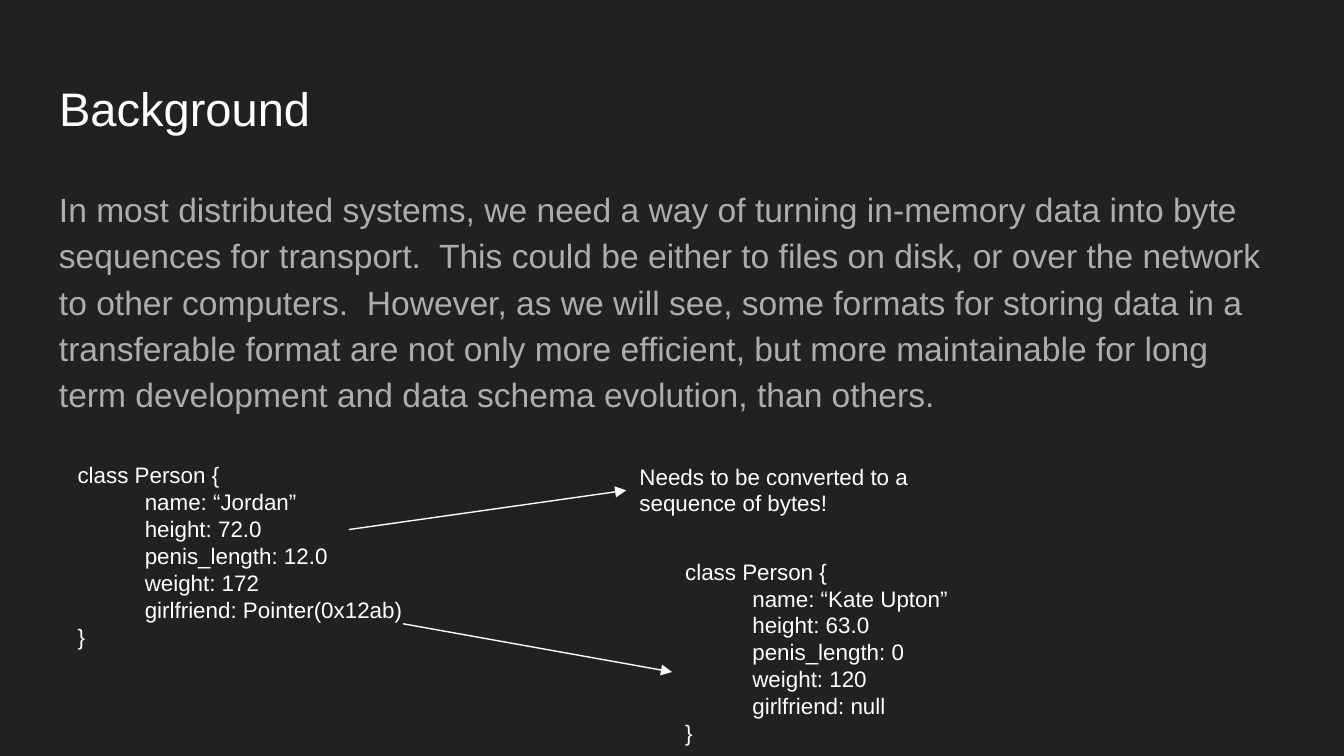
"""Build the Background slide on turning in-memory data into byte sequences."""
from lxml.etree import SubElement
from pptx import Presentation
from pptx.dml.color import RGBColor
from pptx.enum.shapes import MSO_CONNECTOR
from pptx.enum.text import MSO_ANCHOR, PP_ALIGN
from pptx.oxml.ns import qn
from pptx.util import Pt

CHARCOAL = RGBColor(0x21, 0x21, 0x21)
WHITE = RGBColor(0xFF, 0xFF, 0xFF)
GREY = RGBColor(0xAD, 0xAD, 0xAD)


def write(holder, box, text, size, color, spacing=1.0):
    holder.left, holder.top, holder.width, holder.height = map(Pt, box)
    frame = holder.text_frame
    frame.word_wrap = True
    frame.margin_left = frame.margin_right = Pt(7.2)
    frame.margin_top = frame.margin_bottom = Pt(7.2)
    frame.text = text
    for paragraph in frame.paragraphs:
        paragraph.alignment = PP_ALIGN.LEFT
        paragraph.line_spacing = spacing
        for run in paragraph.runs:
            run.font.name = "Arial"
            run.font.size = Pt(size)
            run.font.color.rgb = color


deck = Presentation()
deck.slide_width, deck.slide_height = Pt(720), Pt(405)
slide = deck.slides.add_slide(deck.slide_layouts[5])
slide.background.fill.solid()
slide.background.fill.fore_color.rgb = CHARCOAL

title = slide.shapes.title
write(title, (24.5, 35, 671, 45.1), "Background", 25.2, WHITE)
title.text_frame.vertical_anchor = MSO_ANCHOR.MIDDLE

explanation = (
    "In most distributed systems, we need a way of turning in-memory data into byte "
    "sequences for transport.  This could be either to files on disk, or over the network "
    "to other computers.  However, as we will see, some formats for storing data in a "
    "transferable format are not only more efficient, but more maintainable for long "
    "term development and data schema evolution, than others."
)
person_fields = ("name", "height", "penis_length", "weight", "girlfriend")
jordan = ("“Jordan”", "72.0", "12.0", "172", "Pointer(0x12ab)")
kate = ("“Kate Upton”", "63.0", "0", "120", "null")
jordan_code, kate_code = (
    "\n".join(["class Person {", *(f"\t{field}: {value}" for field, value in zip(person_fields, values)), "}"])
    for values in (jordan, kate)
)

for box, text, size, color, spacing in (
    ((24.5, 90.75, 671, 269), explanation, 18, GREY, 1.15),
    ((34.5, 240, 227.5, 116.6), jordan_code, 12, WHITE, 1.0),
    ((335.5, 240.7, 187.2, 44), "Needs to be converted to a sequence of bytes!", 12, WHITE, 1.0),
    ((360, 291.6, 227.5, 116.6), kate_code, 12, WHITE, 1.0),
):
    write(slide.shapes.add_textbox(0, 0, 0, 0), box, text, size, color, spacing)

for ends in ((187, 283.7, 335.5, 262.7), (216, 334.2, 360, 360)):
    arrow = slide.shapes.add_connector(MSO_CONNECTOR.STRAIGHT, *map(Pt, ends))
    arrow.line.color.rgb = WHITE
    arrow.line.width = Pt(0.75)
    SubElement(arrow.line._get_or_add_ln(), qn("a:tailEnd"), type="triangle", w="med", len="med")
    SubElement(arrow._element.spPr, qn("a:effectLst"))

deck.save("out.pptx")
